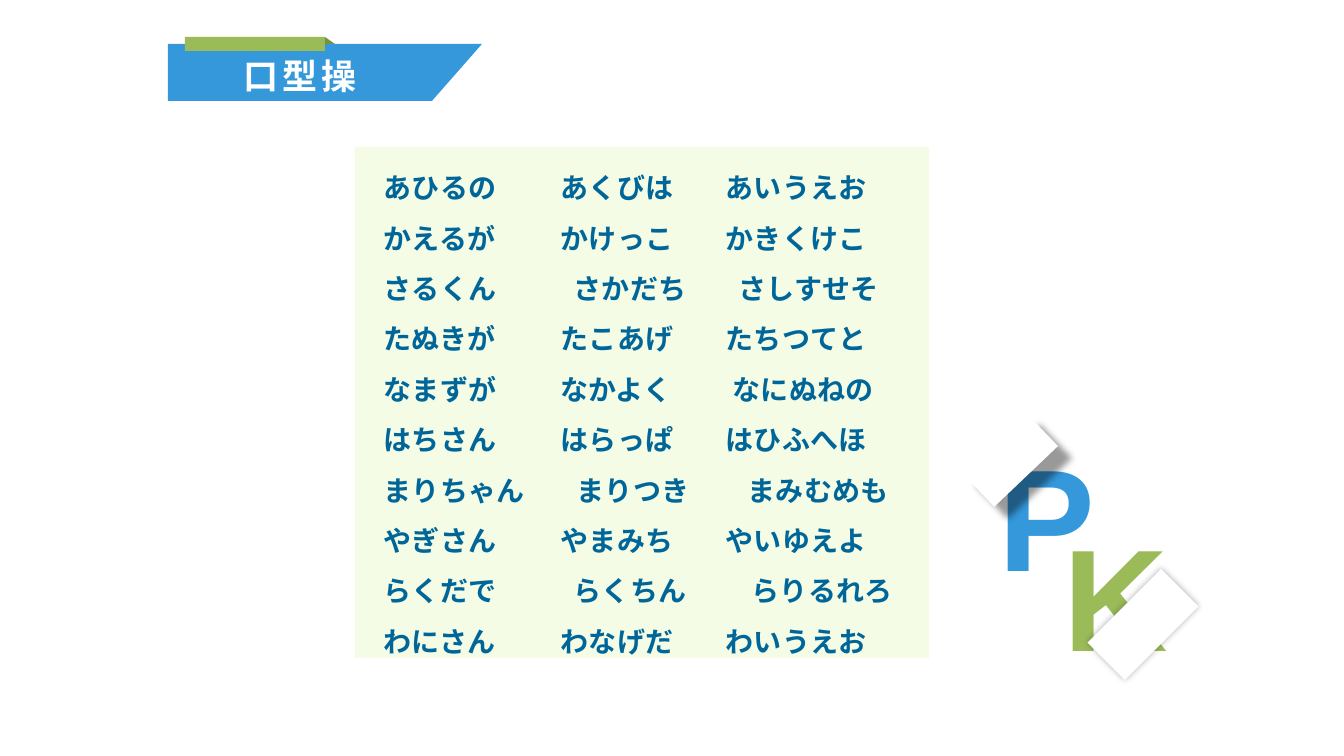
from dataclasses import dataclass

from lxml.etree import SubElement
from pptx import Presentation
from pptx.dml.color import RGBColor
from pptx.enum.shapes import MSO_SHAPE
from pptx.enum.text import MSO_ANCHOR, PP_ALIGN
from pptx.oxml.ns import qn
from pptx.util import Pt


@dataclass(frozen=True)
class Theme:
    blue: str = "3498DB"
    green: str = "9BBB59"
    dark_green: str = "77933C"
    panel: str = "F4FCE5"
    ink: str = "006699"
    white: str = "FFFFFF"
    black: str = "000000"
    latin: str = "Arial"
    chinese: str = "Noto Sans CJK SC"
    japanese: str = "Noto Sans CJK JP"
    title: float = 25
    body: float = 20
    letter: float = 103.5


THEME = Theme()
WIDTH, HEIGHT = 1344, 756
SCALE = 12192000 / WIDTH

COLUMNS = (177, 342)
CHANT = [
    ("あひるの", "あくびは", "あいうえお", COLUMNS),
    ("かえるが", "かけっこ", "かきくけこ", COLUMNS),
    ("さるくん", "さかだち", "さしすせそ", (190, 355)),
    ("たぬきが", "たこあげ", "たちつてと", COLUMNS),
    ("なまずが", "なかよく", "なにぬねの", (177, 349)),
    ("はちさん", "はらっぱ", "はひふへほ", COLUMNS),
    ("まりちゃん", "まりつき", "まみむめも", (193, 364)),
    ("やぎさん", "やまみち", "やいゆえよ", COLUMNS),
    ("らくだで", "らくちん", "らりるれろ", (190, 368)),
    ("わにさん", "わなげだ", "わいうえお", COLUMNS),
]


def px(n):
    return round(n * SCALE)


def style(sp, color):
    sp.shadow.inherit = False
    sp.fill.solid()
    sp.fill.fore_color.rgb = RGBColor.from_string(color)
    sp.line.fill.background()
    return sp


def add_block(shapes, kind, box, color):
    return style(shapes.add_shape(kind, *map(px, box)), color)


def add_textbox(shapes, box, wrap=True):
    tf = shapes.add_textbox(*map(px, box)).text_frame
    tf.word_wrap = wrap
    return tf


def write(p, text, *, font, size, color, align=PP_ALIGN.LEFT,
          line=None, spacing=None, tabs=()):
    p.alignment = align
    if line:
        p.line_spacing = Pt(line)
    if tabs:
        stops = SubElement(p._p.get_or_add_pPr(), qn("a:tabLst"))
        for tab in tabs:
            SubElement(stops, qn("a:tab"), pos=str(px(tab)), algn="l")
    r = p.add_run()
    r.text = text
    r.font.name = font
    r.font.size = Pt(size)
    r.font.bold = True
    r.font.color.rgb = RGBColor.from_string(color)
    rPr = r._r.get_or_add_rPr()
    SubElement(rPr, qn("a:ea"), typeface=font)
    if spacing:
        rPr.set("spc", str(spacing * 100))


def add_shadow(sp, alpha, blur, dist, angle):
    effects = sp._element.spPr.find(qn("a:effectLst"))
    shadow = SubElement(effects, qn("a:outerShdw"), blurRad=str(Pt(blur)),
                        dist=str(Pt(dist)), dir=str(angle * 60000),
                        algn="ctr", rotWithShape="0")
    color = SubElement(shadow, qn("a:srgbClr"), val=THEME.black)
    SubElement(color, qn("a:alpha"), val=str(alpha * 1000))


def draw_title(s, x, y, w, h):
    banner = s.shapes.build_freeform(x, y, scale=SCALE)
    banner.add_line_segments([(x + w, y), (x + w - 50, y + h), (x, y + h)])
    style(banner.convert_to_shape(), THEME.blue)
    add_block(s.shapes, MSO_SHAPE.RECTANGLE, (x + 17, y - 7, 140, 14), THEME.green)
    fold = add_block(s.shapes, MSO_SHAPE.ISOSCELES_TRIANGLE,
                     (x + 157, y - 7, 10, 7), THEME.dark_green)
    fold.adjustments[0] = 0
    tf = add_textbox(s.shapes, (x + 10, y - 6, 244, 41))
    write(tf.paragraphs[0], "口型操", font=THEME.chinese, size=THEME.title,
          color=THEME.white, align=PP_ALIGN.CENTER, line=38, spacing=3)


def draw_chant(s, x, y, w, h):
    panel = add_block(s.shapes, MSO_SHAPE.RECTANGLE, (x, y, w, h), THEME.panel)
    tf = panel.text_frame
    tf.word_wrap = True
    tf.vertical_anchor = MSO_ANCHOR.TOP
    tf.margin_left, tf.margin_top = px(29), px(7)
    tf.margin_right = tf.margin_bottom = 0
    for i, (*words, tabs) in enumerate(CHANT):
        p = tf.add_paragraph() if i else tf.paragraphs[0]
        write(p, "\t".join(words), font=THEME.japanese, size=THEME.body,
              color=THEME.ink, line=36, tabs=tabs)


def draw_letters(s, x, y):
    shapes = s.shapes.add_group_shape().shapes
    for text, box, color, wrap in [
        ("P", (x + 23, y, 121, 161), THEME.blue, False),
        ("K", (x + 88, y + 80, 135, 161), THEME.green, True),
    ]:
        tf = add_textbox(shapes, box, wrap)
        write(tf.paragraphs[0], text, font=THEME.latin, size=THEME.letter, color=color)
    for box, rotation, shadow in [
        ((x, y + 14, 88, 47), 316.4, (40, 5, 13, 41)),
        ((x + 125, y + 176, 104, 53), 135, (30, 5, 0, 220)),
    ]:
        cover = add_block(shapes, MSO_SHAPE.RECTANGLE, box, THEME.white)
        cover.rotation = rotation
        add_shadow(cover, *shadow)


def main():
    prs = Presentation()
    prs.slide_width, prs.slide_height = px(WIDTH), px(HEIGHT)
    s = prs.slides.add_slide(prs.slide_layouts[6])
    draw_title(s, 168, 44, 314, 57)
    draw_letters(s, 966, 422)
    draw_chant(s, 355, 147, 574, 511)
    prs.save("out.pptx")


if __name__ == "__main__":
    main()
